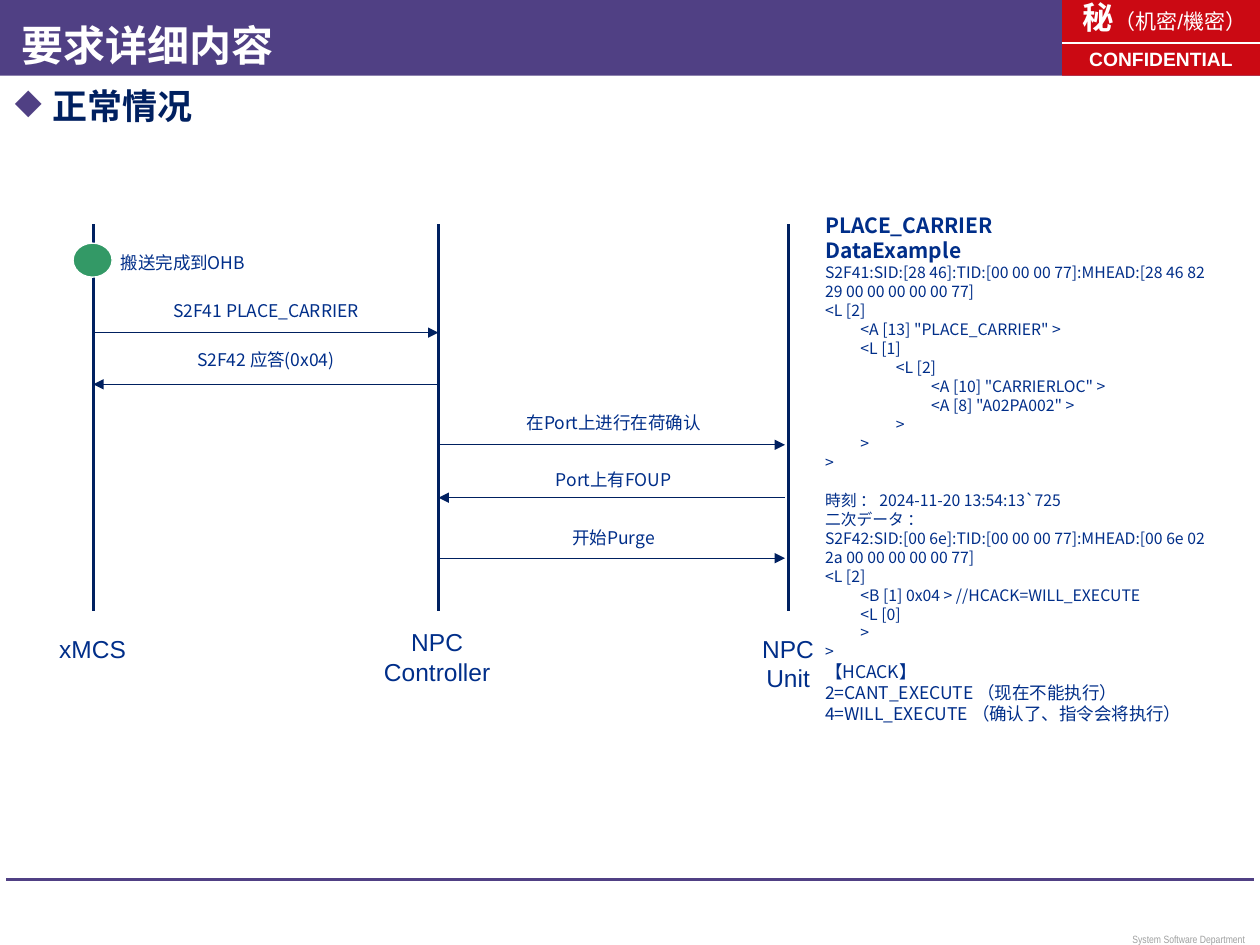
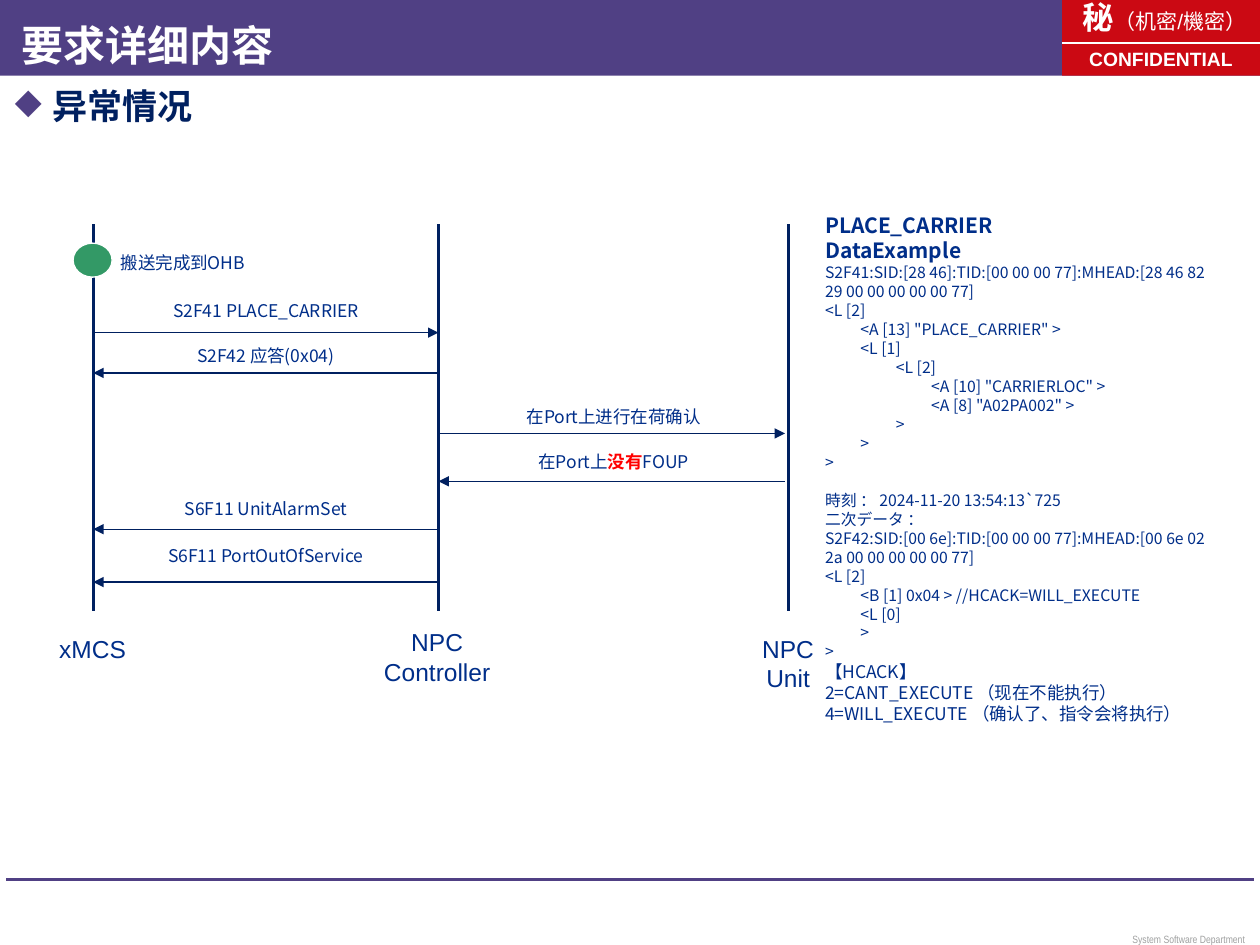
from pptx import Presentation
from pptx import util as u
from pptx.dml.color import RGBColor
from pptx.enum import shapes, text
from pptx.oxml import parse_xml
from pptx.oxml.ns import nsdecls, qn
from lxml import etree

PURPLE, RED, WHITE, GREEN = "504084", "CB0913", "FFFFFF", "339966"
NAVY, BLUE, GRAY, ALERT = "002060", "002E89", "9FA0A0", "FF0000"
CJK = "Noto Sans CJK JP"

TITLE = "要求详细内容"
TITLE_FONT = {"name": "Arial", "size": 24, "bold": True, "color": WHITE}
HEADING_FONT = {"name": CJK, "size": 20, "bold": True, "color": NAVY}
LABEL_FONT = {"name": CJK, "size": 10, "bold": False, "color": BLUE}
LANE_FONT = {"name": "Arial", "size": 14, "bold": False, "color": BLUE}
BADGE_FONT = {"name": "Arial", "size": 11, "bold": True, "color": WHITE}
FOOTER_FONT = {"name": "Arial Narrow", "size": 6, "bold": False, "color": GRAY}
CODE_TITLE_FONT = LABEL_FONT | {"size": 12, "bold": True}
CODE_FONT = LABEL_FONT | {"size": 9}

LANES = [
    (0.74, ["xMCS"], (0.33, 4.98, 0.81, 0.34)),
    (3.48, ["NPC", "Controller"], (2.94, 4.93, 1.06, 0.57)),
    (6.26, ["NPC", "Unit"], (5.92, 4.98, 0.67, 0.57)),
]
LANE_TOP, LANE_BOTTOM = 1.78, 4.85
ARROW_STOPS = [0.74, 3.48, 6.23]
MCS, CONTROLLER, UNIT = range(3)

CODE_TITLE = ["PLACE_CARRIER", "DataExample"]
REQUEST = [
    (0, "S2F41:SID:[28 46]:TID:[00 00 00 77]:MHEAD:[28 46 82 29 00 00 00 00 00 77]"),
    (0, "<L [2]"),
    (1, '<A [13] "PLACE_CARRIER" >'),
    (1, "<L [1]"),
    (2, "<L [2]"),
    (3, '<A [10] "CARRIERLOC" >'),
    (3, '<A [8] "A02PA002" >'),
    (2, ">"),
    (1, ">"),
    (0, ">"),
]
REPLY = [
    (0, "時刻 ： 2024-11-20 13:54:13`725"),
    (0, "二次データ ："),
    (0, "S2F42:SID:[00 6e]:TID:[00 00 00 77]:MHEAD:[00 6e 02 2a 00 00 00 00 00 77]"),
    (0, "<L [2]"),
    (1, "<B [1] 0x04 > //HCACK=WILL_EXECUTE"),
    (1, "<L [0]"),
    (1, ">"),
    (0, ">"),
]
HCACK = ["【HCACK】", "2=CANT_EXECUTE （现在不能执行）", "4=WILL_EXECUTE （确认了、指令会将执行）"]

CASES = [
    ("正常情况", [
        (["S2F41 PLACE_CARRIER"], MCS, CONTROLLER, 2.33, 2.64),
        (["S2F42 应答(0x04)"], CONTROLLER, MCS, 2.72, 3.05),
        (["在Port上进行在荷确认"], CONTROLLER, UNIT, 3.22, 3.53),
        (["Port上有FOUP"], UNIT, CONTROLLER, 3.67, 3.95),
        (["开始Purge"], CONTROLLER, UNIT, 4.13, 4.43),
    ]),
    ("异常情况", [
        (["S2F41 PLACE_CARRIER"], MCS, CONTROLLER, 2.33, 2.64),
        (["S2F42 应答(0x04)"], CONTROLLER, MCS, 2.69, 2.96),
        (["在Port上进行在荷确认"], CONTROLLER, UNIT, 3.17, 3.44),
        (["在Port上", ("没有", {"bold": True, "color": ALERT}), "FOUP"],
         UNIT, CONTROLLER, 3.53, 3.82),
        (["S6F11 UnitAlarmSet"], CONTROLLER, MCS, 3.9, 4.2),
        (["S6F11 PortOutOfService"], CONTROLLER, MCS, 4.28, 4.62),
    ]),
]


def rgb(value):
    return RGBColor.from_string(value)


def inches(values):
    return [u.Inches(value) for value in values]


def set_font(span, values):
    for key, value in values.items():
        if key == "color":
            span.font.color.rgb = rgb(value)
        else:
            setattr(span.font, key, u.Pt(value) if key == "size" else value)
    if values["name"] == CJK:
        east_asian = etree.SubElement(span.font._element, qn("a:ea"))
        east_asian.set("typeface", CJK)


def write(box, paragraphs, font, align=text.PP_ALIGN.LEFT, spacing=None,
          anchor=text.MSO_ANCHOR.TOP, inset=None):
    frame = box.text_frame
    frame.word_wrap = True
    frame.vertical_anchor = anchor
    if inset is not None:
        for side in ("left", "top", "right", "bottom"):
            setattr(frame, f"margin_{side}", u.Inches(inset))
    for index, spans in enumerate(paragraphs):
        para = frame.paragraphs[0] if index == 0 else frame.add_paragraph()
        para.alignment = align
        if spacing:
            para.line_spacing = u.Pt(spacing)
        for item in spans:
            words, changes = (item, {}) if isinstance(item, str) else item
            span = para.add_run()
            span.text = words
            set_font(span, font | changes)
    return frame


def add_text(page, at, paragraphs, font, **layout):
    box = page.shapes.add_textbox(*inches(at))
    return write(box, paragraphs, font, **layout)


def add_shape(page, kind, at, fill, outline=None):
    shape = page.shapes.add_shape(kind, *inches(at))
    shape.shadow.inherit = False
    shape.fill.solid()
    shape.fill.fore_color.rgb = rgb(fill)
    if outline:
        shape.line.color.rgb = rgb(outline)
        shape.line.width = u.Pt(0.75)
    else:
        shape.line.fill.background()
    return shape


def add_line(page, ends, color, width, arrow=False):
    line = page.shapes.add_connector(shapes.MSO_CONNECTOR.STRAIGHT, *inches(ends))
    line.line.color.rgb = rgb(color)
    line.line.width = u.Pt(width)
    if arrow:
        etree.SubElement(line.line._ln, qn("a:tailEnd")).set("type", "triangle")
    etree.SubElement(line._element.spPr, qn("a:effectLst"))


def add_frame(page, heading):
    rectangle = shapes.MSO_SHAPE.RECTANGLE
    add_shape(page, rectangle, (0, 0, 10, 0.6), PURPLE)
    add_line(page, (0.05, 6.98, 9.95, 6.98), PURPLE, 2.25)
    add_text(page, (8.5, 7.41, 1.38, 0.07), [["System Software Department"]], FOOTER_FONT,
             align=text.PP_ALIGN.RIGHT, spacing=9, anchor=text.MSO_ANCHOR.MIDDLE, inset=0)
    badge = add_shape(page, rectangle, (8.43, 0, 1.57, 0.6), RED)
    secret = [(" 秘", {"size": 18}), ("（机密/機密）", {"size": 12, "bold": False})]
    write(badge, [secret, ["CONFIDENTIAL"]], BADGE_FONT, align=text.PP_ALIGN.CENTER,
          spacing=20, anchor=text.MSO_ANCHOR.BOTTOM, inset=0.04)
    add_line(page, (8.43, 0.34, 10, 0.34), WHITE, 1)
    add_text(page, (0.07, 0.14, 7.87, 0.43), [[TITLE]], TITLE_FONT,
             anchor=text.MSO_ANCHOR.MIDDLE)
    frame = add_text(page, (0.02, 0.62, 9.98, 6.24), [[heading]], HEADING_FONT)
    properties = frame.paragraphs[0]._p.get_or_add_pPr()
    properties.set("marL", str(u.Inches(0.3)))
    properties.set("indent", str(u.Inches(-0.3)))
    for bullet in (f'<a:buClr {nsdecls("a")}><a:srgbClr val="{PURPLE}"/></a:buClr>',
                   f'<a:buChar {nsdecls("a")} char="◆"/>'):
        properties.append(parse_xml(bullet))


def add_sequence(page, messages):
    for x, names, at in LANES:
        add_line(page, (x, LANE_TOP, x, LANE_BOTTOM), NAVY, 1.5)
        add_text(page, at, [[name] for name in names], LANE_FONT,
                 align=text.PP_ALIGN.CENTER)
    add_shape(page, shapes.MSO_SHAPE.OVAL, (0.58, 1.93, 0.31, 0.27), GREEN, WHITE)
    add_text(page, (0.86, 1.95, 1.21, 0.27), [["搬送完成到OHB"]], LABEL_FONT)
    for label, start, end, label_top, y in messages:
        add_line(page, (ARROW_STOPS[start], y, ARROW_STOPS[end], y), NAVY, 0.75, arrow=True)
        left, right = sorted((LANES[start][0], LANES[end][0]))
        add_text(page, (left, label_top, right - left, 0.27), [label], LABEL_FONT,
                 align=text.PP_ALIGN.CENTER)


def add_data_example(page):
    titles = [[(line, CODE_TITLE_FONT)] for line in CODE_TITLE]
    code = [[" " * 10 * level + line] for level, line in REQUEST + REPLY]
    notes = [[(line, LABEL_FONT)] for line in HCACK]
    frame = add_text(page, (6.45, 1.64, 3.35, 4.34), titles + code + notes, CODE_FONT)
    frame.paragraphs[len(titles) + len(REQUEST)].space_before = u.Pt(10.8)


def main():
    deck = Presentation()
    deck.slide_width, deck.slide_height = inches((10, 7.5))
    for heading, messages in CASES:
        page = deck.slides.add_slide(deck.slide_layouts[6])
        add_frame(page, heading)
        add_sequence(page, messages)
        add_data_example(page)
    deck.save("out.pptx")


if __name__ == "__main__":
    main()
